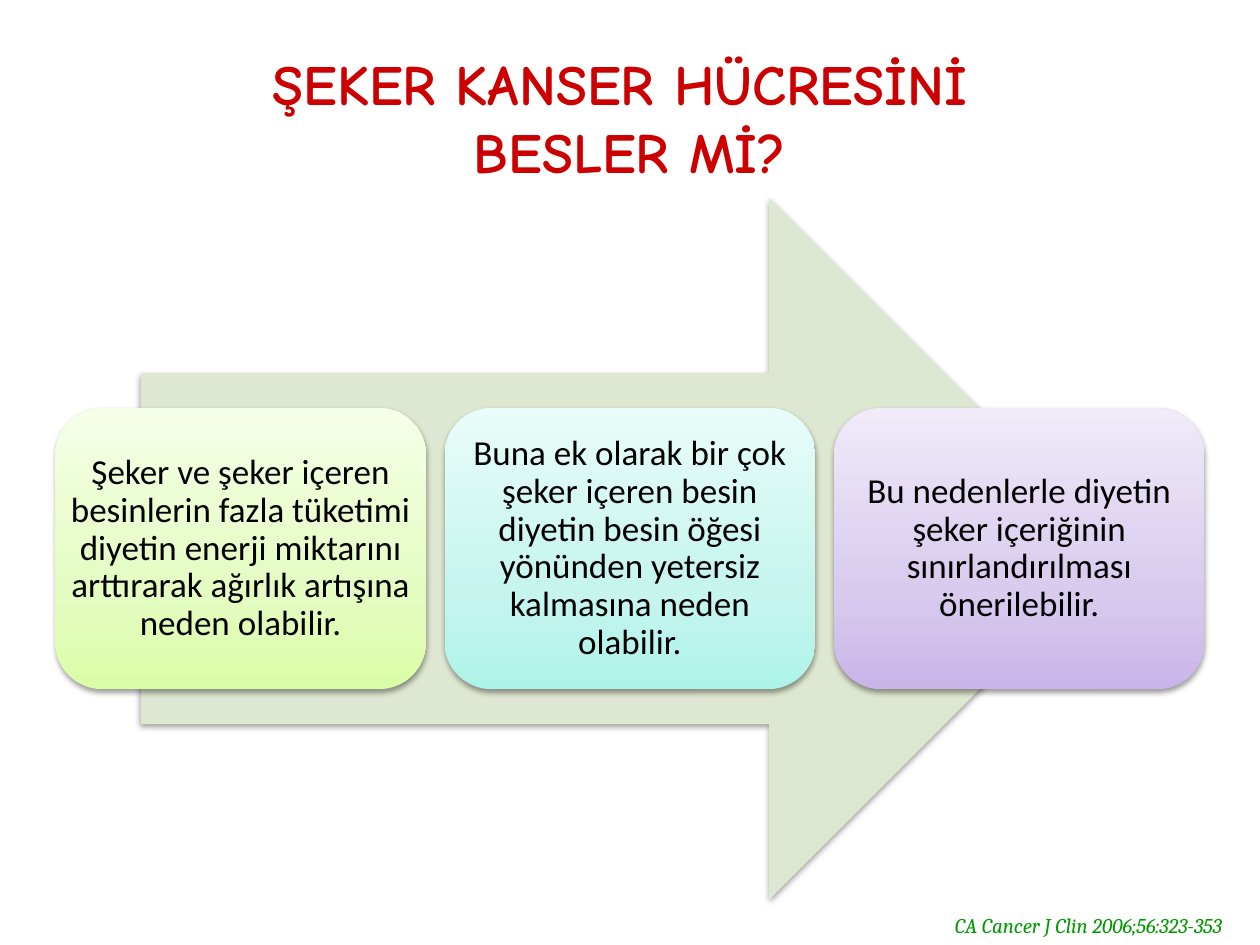
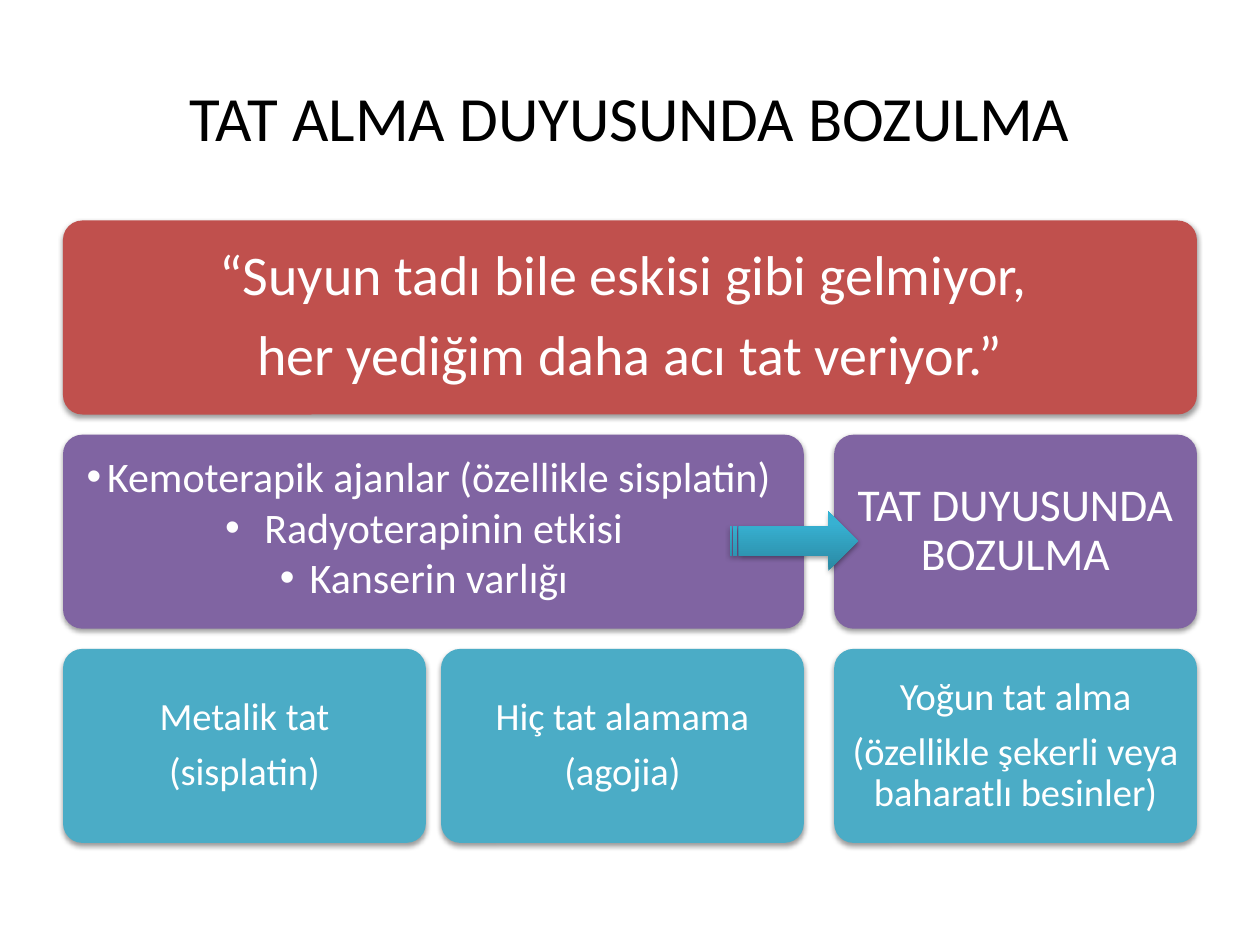
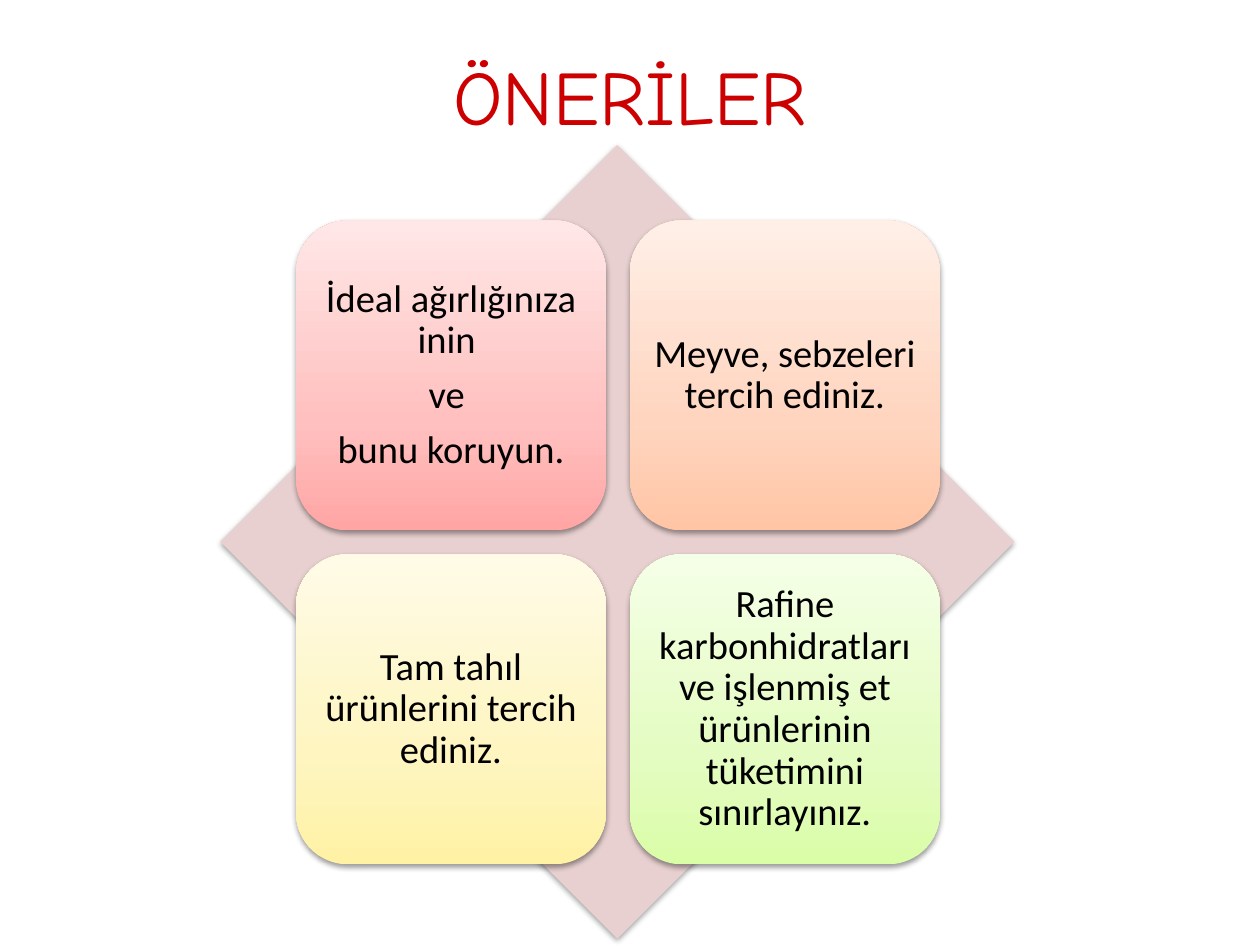
from copy import deepcopy

from lxml import etree
from pptx import Presentation
from pptx.dml.color import RGBColor
from pptx.enum.shapes import MSO_SHAPE
from pptx.enum.text import MSO_ANCHOR, MSO_AUTO_SIZE, PP_ALIGN
from pptx.oxml.ns import qn
from pptx.util import Inches, Pt

ROUNDED = MSO_SHAPE.ROUNDED_RECTANGLE
CENTER = PP_ALIGN.CENTER
MIDDLE = MSO_ANCHOR.MIDDLE

BLACK = RGBColor(0x00, 0x00, 0x00)
WHITE = RGBColor(0xFF, 0xFF, 0xFF)
TITLE_RED = RGBColor(0xCC, 0x00, 0x00)
CITATION_GREEN = RGBColor(0x00, 0x99, 0x00)
PALE_GREEN = RGBColor(0xDE, 0xE7, 0xD1)
PALE_ROSE = RGBColor(0xE8, 0xD0, 0xD0)
BRICK = RGBColor(0xC0, 0x50, 0x4D)
PURPLE = RGBColor(0x80, 0x64, 0xA2)
TEAL = RGBColor(0x4B, 0xAC, 0xC6)

# Gradients run from the bottom edge to the top edge.
CARD_STOPS = (0, 0.35, 1)
ARROW_STOPS = (0, 0.8, 1)
LIME = [RGBColor.from_string(c) for c in ("DAFDA7", "E4FCC2", "F5FFE7")]
AQUA = [RGBColor.from_string(c) for c in ("AEF3E9", "C6F5EE", "E8FCF9")]
LILAC = [RGBColor.from_string(c) for c in ("C9B5E8", "D8CBEE", "F0EAF9")]
PINK = [RGBColor.from_string(c) for c in ("FFA6A5", "FFC0BF", "FFE7E7")]
PEACH = [RGBColor.from_string(c) for c in ("FFC5A5", "FFD5BF", "FFEFE7")]
LEMON = [RGBColor.from_string(c) for c in ("FFF2A5", "FEF5C0", "FFFBE7")]
OCEAN = [RGBColor.from_string(c) for c in ("2A88A2", "37B1D2", "34B4D6")]


def add_shadow(effects, blur, distance, direction, opacity):
    """Append an outer black shadow; direction is in degrees, opacity in percent."""
    shadow = etree.SubElement(effects, qn("a:outerShdw"), blurRad=str(Pt(blur)),
                              dist=str(Pt(distance)), dir=str(direction * 60000),
                              algn="ctr", rotWithShape="0")
    color = etree.SubElement(shadow, qn("a:srgbClr"), val="000000")
    etree.SubElement(color, qn("a:alpha"), val=str(opacity * 1000))


def add_block(slide, kind, box, fill, lines=(), size=22, color=BLACK, margin=0,
              corner=None, stops=CARD_STOPS):
    """Add a shadowed shape with centred text; a list as fill makes a gradient."""
    shape = slide.shapes.add_shape(kind, *map(Inches, box))
    shape.line.fill.background()
    if corner is not None:
        shape.adjustments[0] = corner
    if isinstance(fill, list):
        shape.fill.gradient()
        shape.fill.gradient_angle = 90
        stop_list = shape.element.spPr.find(".//" + qn("a:gsLst"))
        stop_list.insert(1, deepcopy(stop_list[0]))
        for stop, position, stop_color in zip(shape.fill.gradient_stops, stops, fill):
            stop.position = position
            stop.color.rgb = stop_color
    else:
        shape.fill.solid()
        shape.fill.fore_color.rgb = fill
    shape.shadow.inherit = False
    add_shadow(shape.element.spPr.find(qn("a:effectLst")), 3.1, 1.6, 90, 38)

    frame = shape.text_frame
    frame.word_wrap = True
    frame.vertical_anchor = MIDDLE
    for side in ("left", "top", "right", "bottom"):
        setattr(frame, "margin_" + side, Inches(margin))
    if lines:
        frame.text = "\n".join(lines)
        for paragraph in frame.paragraphs:
            paragraph.alignment = CENTER
            paragraph.line_spacing = 0.9
            paragraph.space_after = Pt(size * 0.35)
            for name, value in {"name": "Calibri", "size": Pt(size)}.items():
                setattr(paragraph.font, name, value)
            paragraph.font.color.rgb = color


presentation = Presentation()
presentation.slide_width = Inches(10)
presentation.slide_height = Inches(7.5)

TITLES = [
    ("ŞEKER KANSER HÜCRESİNİ \vBESLER Mİ?", 0.3, TITLE_RED,
     {"name": "Comic Neue", "size": Pt(32.4), "bold": True}),
    ("TAT ALMA DUYUSUNDA BOZULMA", 0.3, BLACK, {"name": "Calibri", "size": Pt(36)}),
    ("ÖNERİLER", 0.13, TITLE_RED, {"name": "Comic Neue", "size": Pt(44)}),
]
slides = []
for text, top, color, font_format in TITLES:
    slide = presentation.slides.add_slide(presentation.slide_layouts[5])
    title = slide.shapes.title
    title.left, title.top, title.width, title.height = map(Inches, (0.5, top, 9, 1.25))
    frame = title.text_frame
    frame.text = text
    frame.auto_size = MSO_AUTO_SIZE.NONE
    frame.vertical_anchor = MIDDLE
    frame.paragraphs[0].alignment = CENTER
    for run in frame.paragraphs[0].runs:
        for name, value in font_format.items():
            setattr(run.font, name, value)
        run.font.color.rgb = color
    slides.append(slide)
sugar_slide, taste_slide, advice_slide = slides

# Sugar and cancer: three statements on an arrow
add_block(sugar_slide, MSO_SHAPE.RIGHT_ARROW, (1.12, 1.57, 7.77, 5.57), PALE_GREEN)
STATEMENTS = [
    (LIME, "Şeker ve şeker içeren besinlerin fazla tüketimi diyetin enerji miktarını "
           "arttırarak ağırlık artışına neden olabilir."),
    (AQUA, "Buna ek olarak bir çok şeker içeren besin diyetin besin öğesi yönünden "
           "yetersiz kalmasına neden olabilir."),
    (LILAC, "Bu nedenlerle diyetin şeker içeriğinin sınırlandırılması önerilebilir."),
]
for index, (fill, statement) in enumerate(STATEMENTS):
    add_block(sugar_slide, ROUNDED, (0.44 + 3.09 * index, 3.24, 2.94, 2.23), fill,
              [statement], size=20)

citation = sugar_slide.shapes.add_textbox(Inches(7.48), Inches(7.19), Inches(2.56), Inches(0.3))
citation.text_frame.word_wrap = False
citation.text_frame.text = "CA Cancer J Clin 2006;56:323-353"
citation_font = citation.text_frame.paragraphs[0].font
for name, value in {"name": "Cambria", "size": Pt(12), "italic": True}.items():
    setattr(citation_font, name, value)
citation_font.color.rgb = CITATION_GREEN

# Taste changes: quotation, causes and effects in three rows
QUOTE_TOP, CAUSE_TOP, EFFECT_TOP = (1.75 + 1.7 * row for row in range(3))
FIRST, SECOND, THIRD = 0.5, 3.5, 6.62
NARROW, MEDIUM, WIDE = 2.88, 5.88, 9
TASTE_BLOCKS = [
    (FIRST, QUOTE_TOP, WIDE, BRICK, 32, 0.09,
     ["“Suyun tadı bile eskisi gibi gelmiyor, ", "her yediğim daha acı tat veriyor.”"]),
    (FIRST, CAUSE_TOP, MEDIUM, PURPLE, 24, 0, []),
    (THIRD, CAUSE_TOP, NARROW, PURPLE, 26, 0.06, ["TAT DUYUSUNDA BOZULMA"]),
    (FIRST, EFFECT_TOP, NARROW, TEAL, 22, 0.05, ["Metalik tat", "(sisplatin)"]),
    (SECOND, EFFECT_TOP, NARROW, TEAL, 22, 0.05, ["Hiç tat alamama", "(agojia)"]),
    (THIRD, EFFECT_TOP, NARROW, TEAL, 22, 0.05,
     ["Yoğun tat alma", "(özellikle şekerli veya baharatlı besinler)"]),
]
for left, top, width, fill, size, margin, lines in TASTE_BLOCKS:
    add_block(taste_slide, ROUNDED, (left, top, width, 1.54), fill, lines, size, WHITE,
              margin, corner=0.1)

causes = taste_slide.shapes.add_textbox(Inches(0.59), Inches(3.53), Inches(5.67), Inches(1.31))
causes.text_frame.word_wrap = True
causes.text_frame.text = "\n".join([
    "Kemoterapik ajanlar (özellikle sisplatin)", " Radyoterapinin etkisi", "Kanserin varlığı"])
for paragraph in causes.text_frame.paragraphs:
    paragraph.alignment = CENTER
    properties = paragraph._p.get_or_add_pPr()
    etree.SubElement(properties, qn("a:buFont"), typeface="Arial")
    etree.SubElement(properties, qn("a:buChar"), char="•")
    paragraph.font.name = "Calibri"
    paragraph.font.size = Pt(24)
    paragraph.font.color.rgb = WHITE

add_block(taste_slide, MSO_SHAPE.STRIPED_RIGHT_ARROW, (5.79, 4.06, 1.02, 0.47), OCEAN,
          stops=ARROW_STOPS)

# Advice: four cards on a diamond
title_run = advice_slide.shapes.title.text_frame.paragraphs[0].runs[0]
title_effects = etree.Element(qn("a:effectLst"))
add_shadow(title_effects, 0, 3, 45, 100)
title_run.font._element.find(qn("a:solidFill")).addnext(title_effects)

add_block(advice_slide, MSO_SHAPE.DIAMOND, (1.75, 1.15, 6.3, 6.3), PALE_ROSE)
ADVICE = [
    (PINK, ["İdeal ağırlığınıza inin ", "ve ", "bunu koruyun."]),
    (PEACH, ["Meyve, sebzeleri tercih ediniz."]),
    (LEMON, ["Tam tahıl ürünlerini tercih ediniz."]),
    (LIME, ["Rafine karbonhidratları ve işlenmiş et ürünlerinin tüketimini sınırlayınız."]),
]
for index, (fill, lines) in enumerate(ADVICE):
    row, column = divmod(index, 2)
    add_block(advice_slide, ROUNDED, (2.35 + 2.65 * column, 1.75 + 2.65 * row, 2.46, 2.46),
              fill, lines)

presentation.save("out.pptx")
